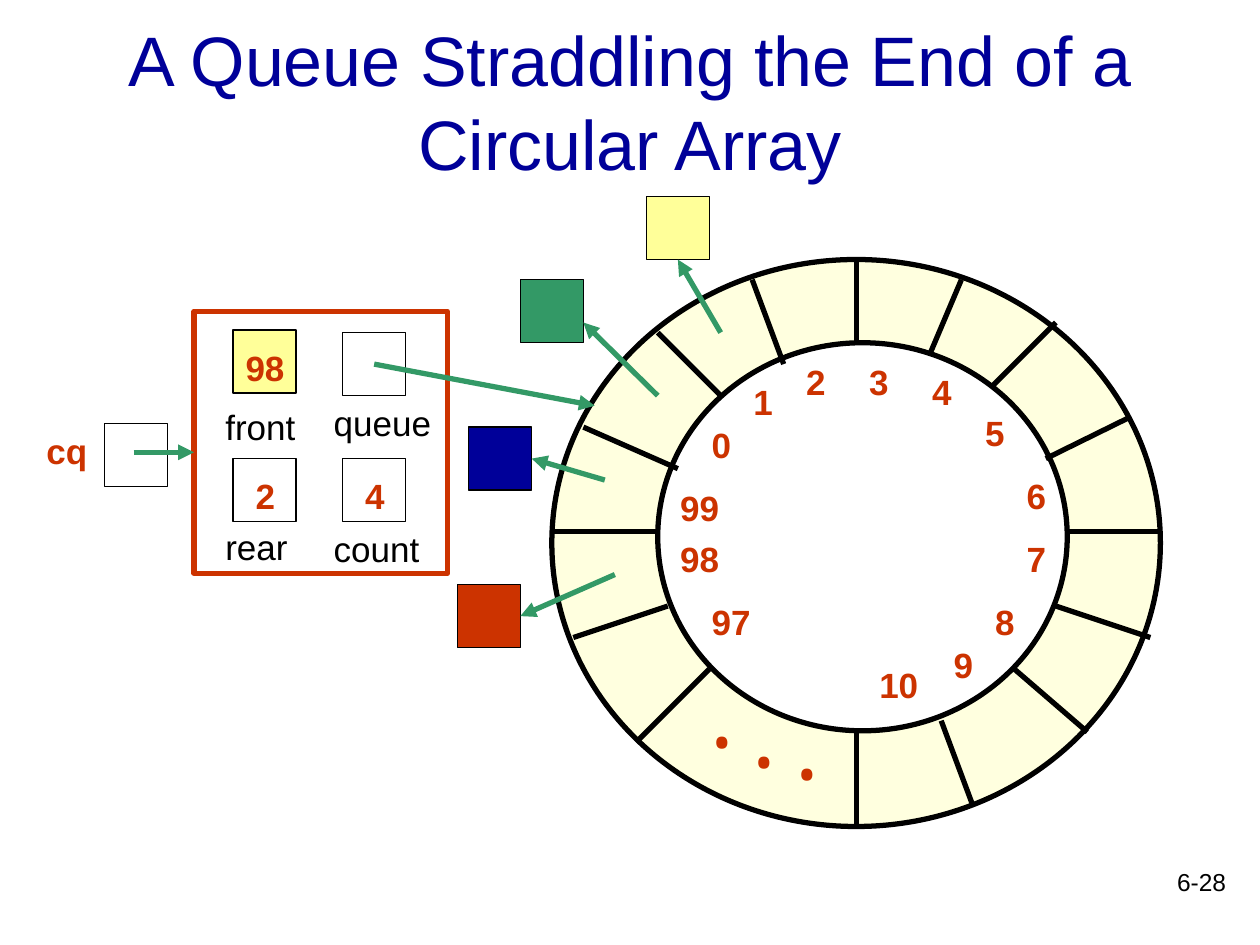
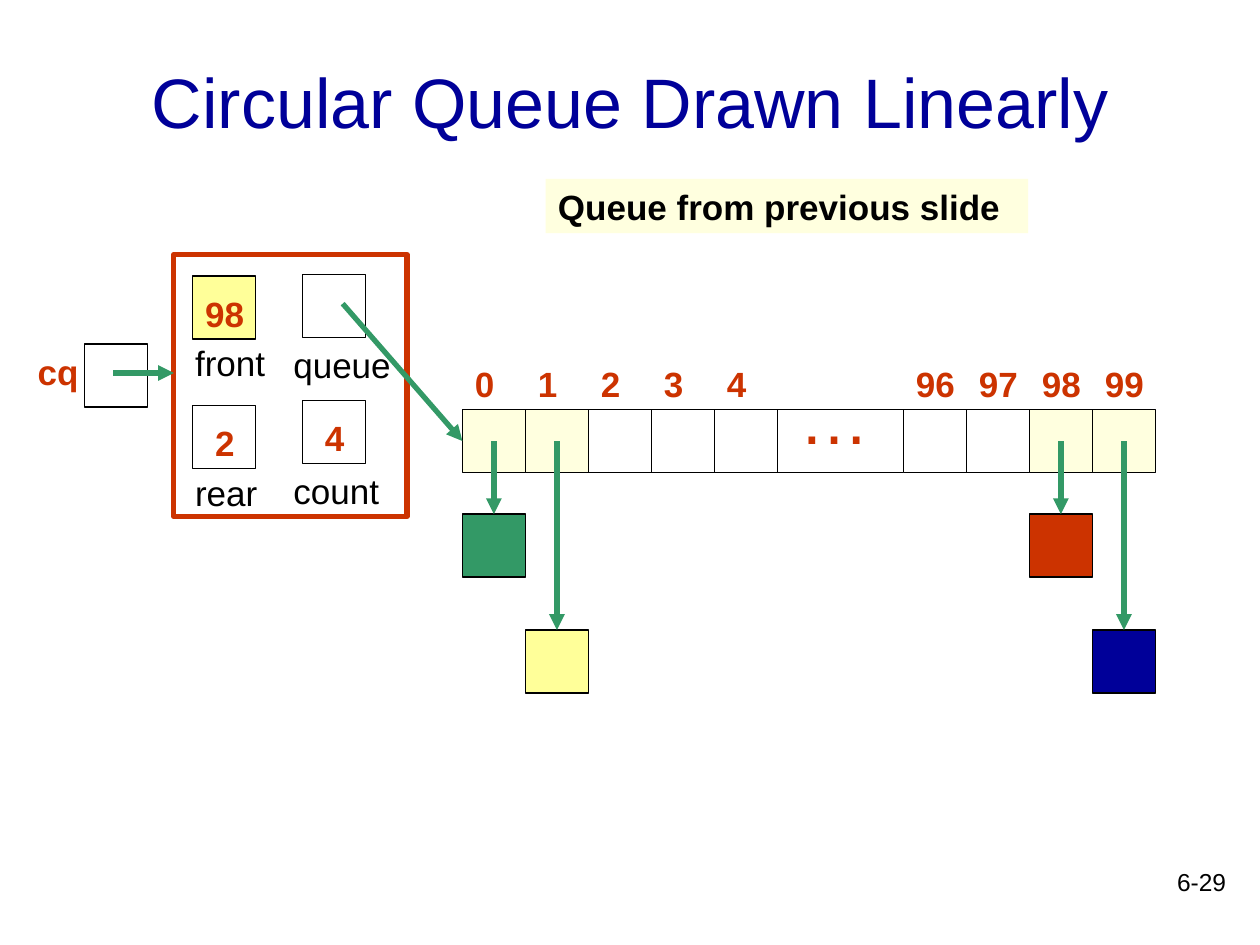
from lxml import etree
from pptx import Presentation
from pptx.dml.color import RGBColor
from pptx.enum.shapes import MSO_CONNECTOR, MSO_SHAPE
from pptx.enum.text import MSO_ANCHOR, MSO_AUTO_SIZE, PP_ALIGN
from pptx.oxml.ns import qn
from pptx.util import Inches, Pt

RECT, OVAL = MSO_SHAPE.RECTANGLE, MSO_SHAPE.OVAL
STRAIGHT = MSO_CONNECTOR.STRAIGHT
MIDDLE, FIXED = MSO_ANCHOR.MIDDLE, MSO_AUTO_SIZE.NONE
LEFT, CENTER, RIGHT = PP_ALIGN.LEFT, PP_ALIGN.CENTER, PP_ALIGN.RIGHT

BLACK = RGBColor(0x00, 0x00, 0x00)
WHITE = RGBColor(0xFF, 0xFF, 0xFF)
NAVY = RGBColor(0x00, 0x00, 0x99)
RED = RGBColor(0xCC, 0x33, 0x00)
GREEN = RGBColor(0x33, 0x99, 0x66)
YELLOW = RGBColor(0xFF, 0xFF, 0x99)
CREAM = RGBColor(0xFF, 0xFF, 0xDF)

CELL = 0.5
HALF = CELL / 2
SIDE_TOP, SIDE_LEFT, SIDE_BOTTOM, SIDE_RIGHT = range(4)

# Queue record: label -> value, cell corner, label corner
RING_PANEL = {
    "frame": (1.54, 2.47, 2.01, 2.08),
    "fields": [
        ("front", "98", (1.85, 2.62), (1.69, 3.17)),
        ("rear", "2", (1.85, 3.64), (1.69, 4.12)),
        ("queue", "", (2.72, 2.64), (2.55, 3.14)),
        ("count", "4", (2.72, 3.64), (2.55, 4.14)),
    ],
    "name": (0.27, 3.36),
    "cell": (0.83, 3.36),
}
ROW_PANEL = {
    "frame": (1.38, 2.02, 1.85, 2.08),
    "fields": [
        ("front", "98", (1.53, 2.19), (1.45, 2.66)),
        ("rear", "2", (1.53, 3.22), (1.45, 3.69)),
        ("queue", "", (2.4, 2.18), (2.23, 2.68)),
        ("count", "4", (2.4, 3.18), (2.23, 3.68)),
    ],
    "name": (0.2, 2.73),
    "cell": (0.67, 2.73),
}

RING = [((4.38, 2.06, 4.83, 4.5), CREAM), ((5.22, 2.72, 3.25, 3.08), WHITE)]
SPOKES = [
    ((5.22, 4.22), (4.38, 4.22)), ((8.47, 4.22), (9.22, 4.22)),
    ((6.8, 2.06), (6.8, 2.72)), ((6.8, 5.81), (6.8, 6.56)),
    ((5.22, 2.64), (5.72, 3.14)), ((8.05, 5.31), (8.63, 5.81)),
    ((5.63, 5.31), (5.05, 5.89)), ((8.38, 2.56), (7.88, 3.06)),
    ((5.97, 2.22), (6.22, 2.89)), ((7.47, 5.72), (7.72, 6.39)),
    ((4.63, 3.39), (5.38, 3.72)), ((8.38, 4.81), (9.13, 5.06)),
    ((7.63, 2.22), (7.38, 2.81)), ((8.97, 3.31), (8.3, 3.64)),
    ((4.55, 5.06), (5.3, 4.81)),
]
RING_MARKS = {
    "0": (5.55, 3.31), "1": (5.88, 2.97), "2": (6.3, 2.81), "3": (6.8, 2.81),
    "4": (7.3, 2.89), "5": (7.72, 3.22), "6": (8.05, 3.72), "7": (8.05, 4.22),
    "8": (7.8, 4.72), "9": (7.47, 5.06), "10": (6.88, 5.22),
    "99": (5.3, 3.81), "98": (5.3, 4.22), "97": (5.55, 4.72),
}
DOTS = [(5.55, 5.06), (5.88, 5.22), (6.22, 5.31)]
# Item: corner, colour, arrow start, arrow end, side joined
RING_ITEMS = [
    ((3.72, 3.39), NAVY, (4.8, 3.81), (4.22, 3.64), SIDE_RIGHT),
    ((3.63, 4.64), RED, (4.88, 4.56), (4.13, 4.89), SIDE_RIGHT),
    ((5.13, 1.56), YELLOW, (5.72, 2.64), (5.38, 2.06), SIDE_BOTTOM),
    ((4.13, 2.22), GREEN, (5.22, 3.14), (4.63, 2.56), None),
]

ROW_LEFT, ROW_TOP = 3.67, 3.25
GAP_SLOTS = (5, 6)
ROW_MARKS = ["0", "1", "2", "3", "4", None, None, "96", "97", "98", "99"]
# Index -> item colour and top
ROW_ITEMS = {"0": (GREEN, 4.08), "1": (YELLOW, 5),
             "98": (RED, 4.08), "99": (NAVY, 5)}


def inches(*nums):
    return [Inches(n) for n in nums]


def write(shape, text, size, color, bold=False, align=LEFT, font="Arial"):
    frame = shape.text_frame
    frame.word_wrap = True
    frame.auto_size = FIXED
    frame.text = text
    para = frame.paragraphs[0]
    para.alignment = align
    para.font.name, para.font.size = font, Pt(size)
    para.font.bold, para.font.color.rgb = bold, color


def label(slide, text, at, width=1, height=0.43, size=20, color=BLACK, **style):
    box = slide.shapes.add_textbox(*inches(*at, width, height))
    write(box, text, size, color, **style)


def mark(slide, text, at):
    """Bold red number in a box as wide as its digits."""
    label(slide, text, at, 0.2 + 0.19 * len(text), color=RED, bold=True)


def block(slide, at, fill=None, line=BLACK, weight=0.75, kind=RECT):
    shape = slide.shapes.add_shape(kind, *inches(*at))
    shape.shadow.inherit = False
    if fill is None:
        shape.fill.background()
    else:
        shape.fill.solid()
        shape.fill.fore_color.rgb = fill
    if line is None:
        shape.line.fill.background()
    else:
        shape.line.color.rgb = line
        shape.line.width = Pt(weight)
    return shape


def cell(slide, at, fill=None):
    return block(slide, (*at, CELL, CELL), fill)


def rule(slide, start, end, color=BLACK, weight=3):
    line = slide.shapes.add_connector(STRAIGHT, *inches(*start, *end))
    line.line.color.rgb = color
    line.line.width = Pt(weight)
    etree.SubElement(line._element.spPr, qn("a:effectLst"))
    return line


def arrow(slide, start, end, target=None, side=None):
    line = rule(slide, start, end, GREEN)
    tail = etree.SubElement(line.line._get_or_add_ln(), qn("a:tailEnd"))
    tail.set("type", "triangle")
    if side is not None:
        line.end_connect(target, side)


def new_slide(deck, title, number):
    slide = deck.slides.add_slide(deck.slide_layouts[5])
    head = slide.shapes.title
    head.left, head.top, head.width, head.height = inches(0.75, 0.17, 8.5, 1.25)
    write(head, title, 40, NAVY, align=CENTER)
    head.text_frame.vertical_anchor = MIDDLE
    label(slide, number, (7.75, 6.83), 2.08, 0.5, 14, align=RIGHT)
    return slide


def panel(slide, data):
    """Draw the queue record and the variable cq that points to it."""
    block(slide, data["frame"], line=RED, weight=3)
    for name, value, (x, y), spot in data["fields"]:
        cell(slide, (x, y), YELLOW if name == "front" else None)
        label(slide, name, spot)
        if value:
            mark(slide, value, (x + 0.08 * (2 - len(value)), y + 0.08))
    label(slide, "cq", data["name"], 0.94, color=RED, bold=True)
    x, y = data["cell"]
    cell(slide, (x, y))
    arrow(slide, (x + 0.23, y + 0.23), (data["frame"][0], y + 0.23))


def ring_slide(deck):
    slide = new_slide(
        deck, "A Queue Straddling the End of a Circular Array", "6-28")
    for at, fill in RING:
        block(slide, at, fill, weight=3, kind=OVAL)
    for start, end in SPOKES:
        rule(slide, start, end)
    panel(slide, RING_PANEL)
    arrow(slide, (2.97, 2.89), (4.72, 3.22))
    for text, at in RING_MARKS.items():
        mark(slide, text, at)
    for at in DOTS:
        label(slide, ".", at, 0.33, 1.1, 60, RED, font="Cambria")
    for at, fill, start, end, side in RING_ITEMS:
        arrow(slide, start, end, cell(slide, at, fill), side)


def row_slide(deck):
    slide = new_slide(deck, "Circular Queue Drawn Linearly", "6-29")
    panel(slide, ROW_PANEL)
    slots = {}
    for i, text in enumerate(ROW_MARKS):
        if text:
            x = ROW_LEFT + i * CELL
            fill = CREAM if text in ROW_ITEMS else None
            slots[text] = cell(slide, (x, ROW_TOP), fill)
            mark(slide, text, (x, ROW_TOP - 0.42))
    left, right = (ROW_LEFT + i * CELL for i in (GAP_SLOTS[0], GAP_SLOTS[-1] + 1))
    for y in (ROW_TOP, ROW_TOP + CELL):
        rule(slide, (left, y), (right, y), weight=0.75)
    label(slide, "…", (6.25, 2.92), 0.92, 0.77, 40, RED)

    mid = ROW_TOP + HALF
    arrow(slide, (2.72, 2.41), (ROW_LEFT, mid), slots["0"], SIDE_LEFT)
    for text, (fill, top) in ROW_ITEMS.items():
        x = ROW_LEFT + ROW_MARKS.index(text) * CELL
        item = cell(slide, (x, top), fill)
        arrow(slide, (x + HALF, mid), (x + HALF, top), item, SIDE_TOP)

    note = block(slide, (4.33, 1.42, 3.83, 0.43), CREAM, line=None)
    write(note, "Queue from previous slide", 20, BLACK, bold=True)


def main():
    deck = Presentation()
    deck.slide_width, deck.slide_height = inches(10, 7.5)
    ring_slide(deck)
    row_slide(deck)
    deck.save("out.pptx")


if __name__ == "__main__":
    main()
